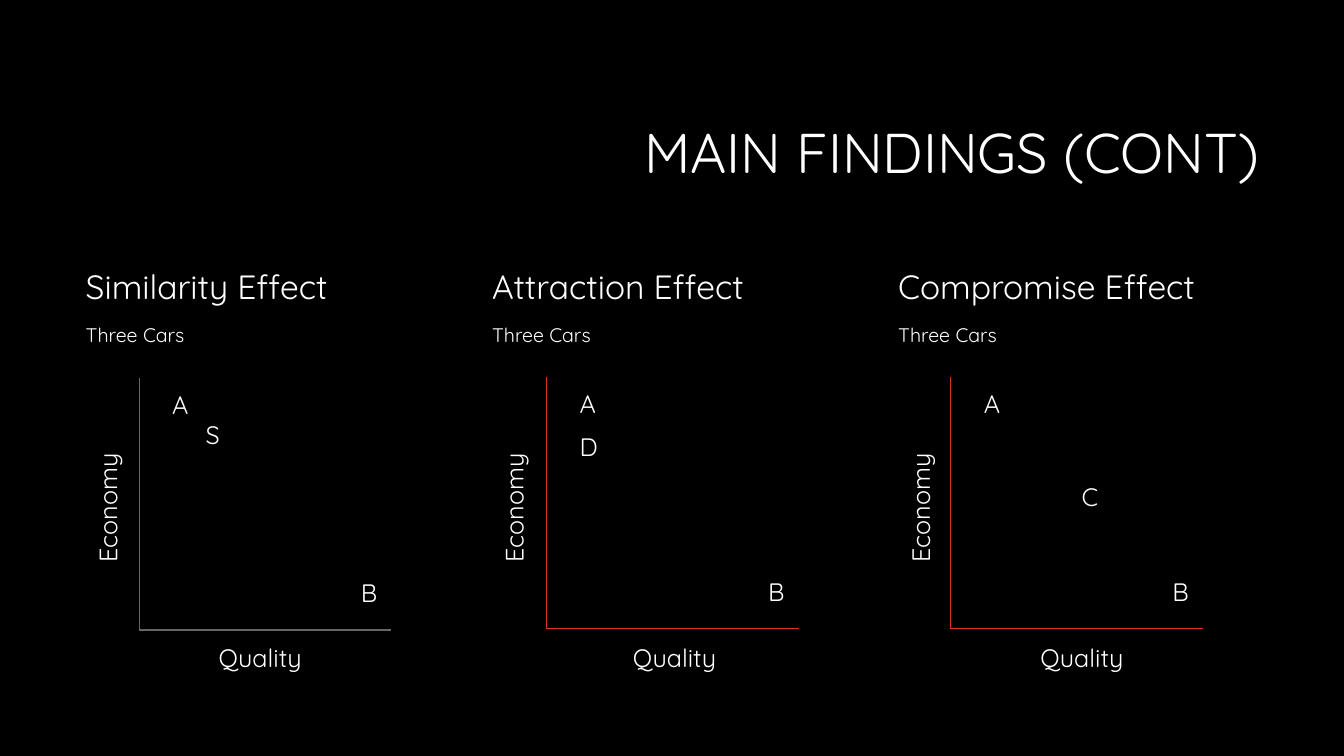
"""Build a slide that compares three context effects on small quality and economy charts."""
from dataclasses import dataclass

from lxml.etree import SubElement
from pptx import Presentation
from pptx.dml.color import RGBColor
from pptx.enum.shapes import MSO_CONNECTOR
from pptx.enum.text import MSO_ANCHOR, MSO_AUTO_SIZE, PP_ALIGN
from pptx.oxml.ns import qn
from pptx.shapes.base import BaseShape
from pptx.slide import Slide
from pptx.util import Inches, Pt

FONT = "Quicksand"
BLACK = RGBColor(0x00, 0x00, 0x00)
WHITE = RGBColor(0xFF, 0xFF, 0xFF)
RED = RGBColor(0xDF, 0x2E, 0x28)
GREY = RGBColor(0x66, 0x66, 0x66)

LEFT, PITCH, COLUMN_WIDTH = 0.75, 4.03, 3.78
AXIS = 2.5


@dataclass(frozen=True)
class Effect:
    """One column; the option offset and quality_x count from the chart's corner."""
    heading: str
    axis_x: float
    axis_y: float
    quality_x: float
    option: str
    option_x: float
    option_y: float
    color: RGBColor = RED


EFFECTS = [
    Effect("Similarity Effect", 1.38, 3.75, 0.69, "S", 0.56, 0.36, GREY),
    Effect("Attraction Effect", 5.42, 3.74, 0.76, "D", 0.23, 0.49),
    Effect("Compromise Effect", 9.43, 3.74, 0.79, "C", 1.2, 0.99),
]


def place(sp: BaseShape, x: float, y: float, w: float, h: float) -> BaseShape:
    """Move and size a shape."""
    sp.left, sp.top, sp.width, sp.height = Inches(x), Inches(y), Inches(w), Inches(h)
    return sp


def write(sp: BaseShape, text: str, *, size: float = 18, align: PP_ALIGN = PP_ALIGN.LEFT,
          anchor: MSO_ANCHOR = MSO_ANCHOR.TOP, spacing: float = 1, before: float = 0) -> None:
    """Fill a shape with one formatted paragraph without a bullet."""
    tf = sp.text_frame
    tf.word_wrap = True
    tf.auto_size = MSO_AUTO_SIZE.NONE
    tf.vertical_anchor = anchor
    p = tf.paragraphs[0]
    p.alignment, p.line_spacing, p.space_before = align, spacing, Pt(before)
    pPr = p._p.get_or_add_pPr()
    pPr.set("marL", "0")
    pPr.set("indent", "0")
    SubElement(pPr, qn("a:buNone"))
    r = p.add_run()
    r.text = text
    r.font.name, r.font.size, r.font.bold = FONT, Pt(size), False
    r.font.color.rgb = WHITE


def add_label(s: Slide, text: str, x: float, y: float, w: float = 0.39,
              rotation: float = 0) -> None:
    """Add a chart label."""
    sp = place(s.shapes.add_textbox(0, 0, 0, 0), x, y, w, 0.4)
    sp.rotation = rotation
    write(sp, text)


def add_axis(s: Slide, x1: float, y1: float, x2: float, y2: float, color: RGBColor) -> None:
    """Add one thin axis line."""
    line = s.shapes.add_connector(
        MSO_CONNECTOR.STRAIGHT, Inches(x1), Inches(y1), Inches(x2), Inches(y2))
    line.line.color.rgb, line.line.width = color, Pt(0.75)
    SubElement(line._element.spPr, qn("a:effectLst"))


def add_chart(s: Slide, effect: Effect, column_x: float) -> None:
    """Draw the axes, their names and the three options."""
    x, y = effect.axis_x, effect.axis_y
    add_axis(s, x, y, x, y + AXIS, effect.color)
    add_axis(s, x + AXIS, y + AXIS, x, y + AXIS, effect.color)
    add_label(s, "Economy", column_x - 0.37, 4.79, 1.37, rotation=270)
    add_label(s, "Quality", x + effect.quality_x, 6.32, 1.1)
    add_label(s, "A", x + 0.23, y + 0.06)
    add_label(s, "B", x + 2.1, y + 1.93)
    add_label(s, effect.option, x + effect.option_x, y + effect.option_y)


def main() -> None:
    """Build and save the slide."""
    prs = Presentation()
    prs.slide_width, prs.slide_height = Inches(13.33), Inches(7.5)
    s = prs.slides.add_slide(prs.slide_layouts.get_by_name("Comparison"))
    s.background.fill.solid()
    s.background.fill.fore_color.rgb = BLACK

    write(place(s.shapes.title, 3.17, 0.83, 9.42, 1.43), "MAIN FINDINGS (CONT)", size=40,
          align=PP_ALIGN.RIGHT, anchor=MSO_ANCHOR.MIDDLE, spacing=0.9)

    bodies = [s.placeholders[i] for i in range(1, 5)]
    bodies += [s.shapes.add_textbox(0, 0, 0, 0) for _ in range(2)]
    for i, effect in enumerate(EFFECTS):
        x = LEFT + i * PITCH
        heading, body = bodies[2 * i:2 * i + 2]
        write(place(heading, x, 2.41, COLUMN_WIDTH, 0.68), effect.heading, size=24,
              anchor=MSO_ANCHOR.BOTTOM, spacing=0.9, before=10)
        write(place(body, x, 3.18, COLUMN_WIDTH, 3.62), "Three Cars", size=14,
              spacing=0.9, before=10)
        add_chart(s, effect, x)

    prs.save("out.pptx")


if __name__ == "__main__":
    main()
